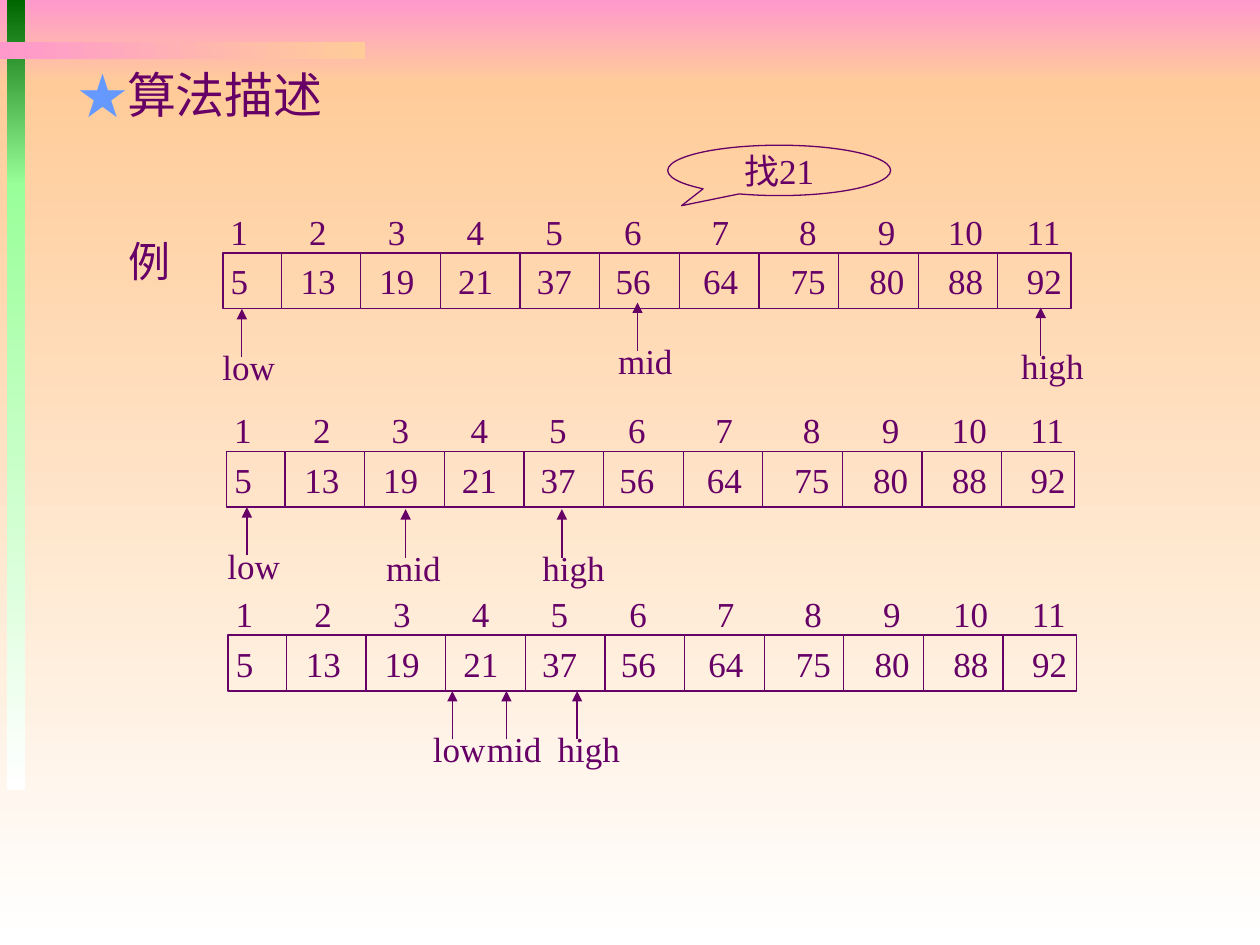
from pptx import Presentation
from pptx.dml.color import RGBColor
from pptx.enum.shapes import MSO_CONNECTOR, MSO_SHAPE
from pptx.enum.text import MSO_ANCHOR, PP_ALIGN
from pptx.oxml.ns import qn
from pptx.util import Pt
from lxml import etree

LINE = MSO_CONNECTOR.STRAIGHT
RECTANGLE = MSO_SHAPE.RECTANGLE
CALLOUT = MSO_SHAPE.OVAL_CALLOUT
TOP, MIDDLE = MSO_ANCHOR.TOP, MSO_ANCHOR.MIDDLE
LEFT, CENTER = PP_ALIGN.LEFT, PP_ALIGN.CENTER

COLORS = {
    "ink": "660066", "star": "6699FF", "pink": "FF99CC", "peach": "FFCC99",
    "white": "FFFFFF", "forest": "006600", "mint": "99FF99",
}
SERIF, SANS, CJK = "Times New Roman", "Arial", "Noto Sans CJK SC"
INDICES = range(1, 12)
VALUES = (5, 13, 19, 21, 37, 56, 64, 75, 80, 88, 92)
INDEX_STOPS = (45, 90, 135, 180, 225, 275, 325, 370, 410, 455)
VALUE_STOPS = (40, 85, 130, 175, 220, 270, 320, 365, 410, 455)
ROW_WIDTH, ROW_HEIGHT = 484.6, 32
LABEL_WIDTHS = {"low": 44, "mid": 45, "high": 50}
SEARCH_STEPS = (
    (127.4, 144.5, (("low", 10.8, 0), ("mid", 236.9, -3.6), ("high", 467.3, -0.7))),
    (129.6, 257.8, (("low", 11.5, 0), ("mid", 102.2, 1.2), ("high", 191.5, 1.2))),
    (130.4, 362.9, (("low", 128.1, 0), ("mid", 159, 0), ("high", 199.4, 0))),
)


def color(name):
    """Return a named colour."""
    return RGBColor.from_string(COLORS[name])


def write(shape, text, size=20, font=SERIF, align=LEFT, anchor=TOP, wrap=False, stops=()):
    """Put one formatted paragraph into a shape, with optional tab stops."""
    frame = shape.text_frame
    frame.word_wrap = wrap
    frame.vertical_anchor = anchor
    frame.text = text
    para = frame.paragraphs[0]
    para.alignment = align
    if stops:
        tabs = etree.SubElement(para._p.get_or_add_pPr(), qn("a:tabLst"))
        for stop in stops:
            etree.SubElement(tabs, qn("a:tab"), pos=str(Pt(stop)), algn="l")
    for span in para.runs:
        span.font.size = Pt(size)
        span.font.name = font
        span.font.color.rgb = color("ink")
        etree.SubElement(span._r.get_or_add_rPr(), qn("a:ea"), typeface=CJK)


def add_text(page, left, top, width, height, text, **style):
    """Add a text box without a right margin."""
    box = page.shapes.add_textbox(Pt(left), Pt(top), Pt(width), Pt(height))
    box.text_frame.margin_right = 0
    write(box, text, **style)


def add_outline(page, kind, left, top, width, height):
    """Add an unfilled shape with a thin outline."""
    shape = page.shapes.add_shape(kind, Pt(left), Pt(top), Pt(width), Pt(height))
    shape.shadow.inherit = False
    shape.fill.background()
    shape.line.color.rgb = color("ink")
    shape.line.width = Pt(0.75)
    return shape


def add_line(page, x, start, end, arrow=False):
    """Add a vertical line, with an arrowhead at its end if wanted."""
    line = page.shapes.add_connector(LINE, Pt(x), Pt(start), Pt(x), Pt(end))
    line.line.color.rgb = color("ink")
    line.line.width = Pt(0.75)
    if arrow:
        etree.SubElement(line.line._get_or_add_ln(), qn("a:tailEnd"), type="triangle")
    etree.SubElement(line._element.spPr, qn("a:effectLst"))


def add_band(page, left, top, width, height, first, last, angle=270):
    """Add a rectangle with a two-colour gradient."""
    band = page.shapes.add_shape(RECTANGLE, Pt(left), Pt(top), Pt(width), Pt(height))
    band.shadow.inherit = False
    band.line.fill.background()
    band.fill.gradient()
    band.fill.gradient_angle = angle
    for stop, name in zip(band.fill.gradient_stops, (first, last)):
        stop.color.rgb = color(name)


def add_backdrop(page):
    """Draw the gradient background and its side and top bars."""
    add_band(page, 0, 0, 720, 48, "pink", "peach")
    add_band(page, 0, 48, 720, 492, "peach", "white")
    add_band(page, 4, 0, 10.4, 106, "forest", "mint")
    add_band(page, 4, 105, 10.4, 346.5, "mint", "white")
    add_band(page, 0, 24, 208.5, 9.75, "pink", "peach", angle=0)


def add_title(page, left, top, width, height):
    """Place the starred title in front of the backdrop."""
    title = page.shapes.title
    title.left, title.top, title.width, title.height = map(Pt, (left, top, width, height))
    title.element.getparent().append(title.element)
    write(title, "算法描述", size=28, font=SANS, wrap=True)
    props = title.text_frame.paragraphs[0]._p.get_or_add_pPr()
    props.set("marL", str(Pt(28)))
    props.set("indent", str(Pt(-28)))
    bullet = etree.SubElement(props, qn("a:buClr"))
    etree.SubElement(bullet, qn("a:srgbClr"), val=COLORS["star"])
    etree.SubElement(props, qn("a:buFont"), typeface=CJK)
    etree.SubElement(props, qn("a:buChar"), char="★")


def add_pointer(page, x, tip, label):
    """Draw an upward arrow with its label below."""
    add_line(page, x, tip + 27.6, tip, arrow=True)
    add_text(page, x - 18.2, tip + 17.5, LABEL_WIDTHS[label], 31.5, label)


def add_array(page, left, top, pointers):
    """Draw the numbered cells of one search step and its pointers."""
    add_text(page, left - 2.8, top - 27.8, 490, 31.5, "\t".join(map(str, INDICES)),
             wrap=True, stops=INDEX_STOPS)
    row = add_outline(page, RECTANGLE, left, top, ROW_WIDTH, ROW_HEIGHT)
    row.text_frame.margin_left, row.text_frame.margin_right = Pt(4.4), 0
    write(row, "\t".join(map(str, VALUES)), anchor=MIDDLE, wrap=True, stops=VALUE_STOPS)
    for number in range(len(VALUES) - 1):
        add_line(page, left + 33.3 + 45.5 * number, top, top + ROW_HEIGHT)
    for label, offset, shift in pointers:
        add_pointer(page, left + offset, top + ROW_HEIGHT + shift, label)


def add_callout(page, left, top, width, height):
    """Draw the speech bubble with the value to find."""
    bubble = add_outline(page, CALLOUT, left, top, width, height)
    bubble.adjustments[0], bubble.adjustments[1] = -0.438, 0.7
    write(bubble, "找21", align=CENTER, anchor=MIDDLE)


def main():
    """Build the slide on binary search."""
    deck = Presentation()
    deck.slide_width, deck.slide_height = Pt(720), Pt(540)
    page = deck.slides.add_slide(deck.slide_layouts[5])
    add_backdrop(page)
    add_title(page, 37.4, 33.1, 669.6, 48.2)
    add_text(page, 66.2, 131, 50.4, 36, "例", size=24, font=CJK)
    add_callout(page, 381.6, 83, 127.4, 28.8)
    for left, top, pointers in SEARCH_STEPS:
        add_array(page, left, top, pointers)
    deck.save("out.pptx")


if __name__ == "__main__":
    main()
